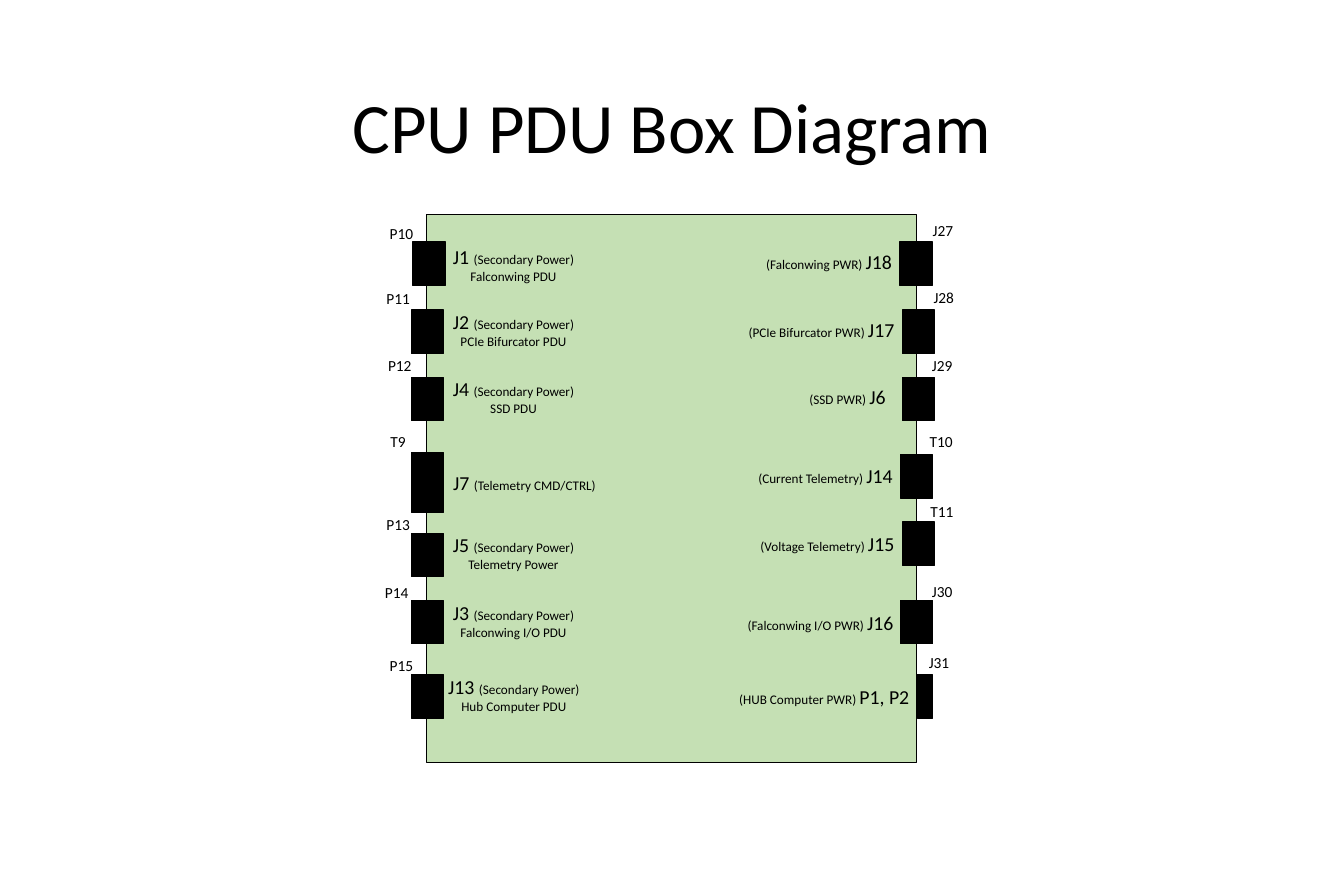
"""Build the CPU PDU box diagram slide."""
from pptx import Presentation
from pptx.dml.color import RGBColor
from pptx.enum.shapes import MSO_SHAPE
from pptx.enum.text import MSO_ANCHOR, MSO_AUTO_SIZE, PP_ALIGN
from pptx.util import Pt

TITLE = "CPU PDU Box Diagram"
COLORS = {"ink": "000000", "box": "C5E0B4"}
PX = 9144
SLIDE_SIZE = (1700, 1100)
TITLE_AREA = (117, 59, 1466, 213)
PDU_BOX = (540, 271, 619, 693)
PLUG_WIDTH, PLUG_HEIGHT = 41, 55
LABEL_LINE, LABEL_PAIR, TAG_HEIGHT = 40, 61, 34

# Each plug: (left, top, width, height)
# Each label: (left, top, width); each tag: (left, top, width)
LEFT_PORTS = [
    ("J1", ["(Secondary Power)", "Falconwing PDU"], (522, 306, 41, 55), (562, 304, 175), "P10", (483, 278, 50)),
    ("J2", ["(Secondary Power)", "PCIe Bifurcator PDU"], (520, 392, 41, 55), (562, 387, 175), "P11", (479, 361, 50)),
    ("J4", ["(Secondary Power)", "SSD PDU"], (520, 477, 41, 55), (562, 471, 175), "P12", (481, 446, 50)),
    ("J7", ["(Telemetry CMD/CTRL)"], (520, 572, 41, 76), (562, 590, 203), "T9", (484, 541, 40)),
    ("J5", ["(Secondary Power)", "Telemetry Power"], (520, 674, 41, 55), (562, 669, 175), "P13", (479, 646, 50)),
    ("J3", ["(Secondary Power)", "Falconwing I/O PDU"], (520, 759, 41, 55), (562, 754, 175), "P14", (477, 732, 50)),
    ("J13", ["(Secondary Power)", "Hub Computer PDU"], (520, 853, 41, 55), (556, 848, 188), "P15", (483, 825, 50)),
]
RIGHT_PORTS = [
    ("J18", "(Falconwing PWR)", (1138, 306, 41, 55), (951, 311, 187), "J27", (1170, 275, 46)),
    ("J17", "(PCIe Bifurcator PWR)", (1141, 392, 41, 55), (929, 397, 212), "J28", (1171, 360, 46)),
    ("J6", "(SSD PWR)", (1141, 477, 41, 55), (1007, 482, 123), "J29", (1169, 446, 46)),
    ("J14", "(Current Telemetry)", (1139, 575, 41, 55), (942, 582, 197), "T10", (1166, 541, 50)),
    ("J15", "(Voltage Telemetry)", (1141, 660, 41, 55), (944, 668, 197), "T11", (1167, 630, 50)),
    ("J16", "(Falconwing I/O PWR)", (1139, 759, 41, 55), (927, 767, 213), "J30", (1169, 731, 46)),
    ("P1, P2", "(HUB Computer PWR)", (1160, 853, 19, 55), (917, 861, 243), "J31", (1165, 821, 46)),
]
TAG_FORMAT = {"word_wrap": False, "auto_size": MSO_AUTO_SIZE.SHAPE_TO_FIT_TEXT}
RIGHT_FORMAT = TAG_FORMAT | {"word_wrap": True}
TITLE_FORMAT = {"word_wrap": True, "vertical_anchor": MSO_ANCHOR.MIDDLE}


def emu(area):
    return [length * PX for length in area]


def add_block(slide, area, color):
    block = slide.shapes.add_shape(MSO_SHAPE.RECTANGLE, *emu(area))
    block.shadow.inherit = False
    block.fill.solid()
    block.fill.fore_color.rgb = RGBColor.from_string(COLORS[color])
    block.line.color.rgb = RGBColor.from_string(COLORS["ink"])
    block.line.width = Pt(1)


def add_text(slide, area, lines, align, frame_format, spacing=None):
    frame = slide.shapes.add_textbox(*emu(area)).text_frame
    for key, value in frame_format.items():
        setattr(frame, key, value)
    for number, pieces in enumerate(lines):
        paragraph = frame.add_paragraph() if number else frame.paragraphs[0]
        paragraph.alignment = align
        paragraph.line_spacing = spacing
        for words, size in pieces:
            run = paragraph.add_run()
            run.text = words
            font_format = {"name": "Calibri", "size": Pt(size)}
            for key, value in font_format.items():
                setattr(run.font, key, value)
            run.font.color.rgb = RGBColor.from_string(COLORS["ink"])


def add_tag(slide, tag, place):
    add_text(slide, (*place, TAG_HEIGHT), [[(tag, 14)]], PP_ALIGN.LEFT, TAG_FORMAT)


def main():
    deck = Presentation()
    deck.slide_width, deck.slide_height = emu(SLIDE_SIZE)
    slide = deck.slides.add_slide(deck.slide_layouts[6])
    add_text(slide, TITLE_AREA, [[(TITLE, 64.5)]], PP_ALIGN.CENTER, TITLE_FORMAT, 0.9)
    add_block(slide, PDU_BOX, "box")

    for port, (purpose, *targets), plug, place, tag, tag_place in LEFT_PORTS:
        add_block(slide, plug, "ink")
        lines = [[(f"{port} ", 18), (purpose, 12)]] + [[(target, 12)] for target in targets]
        height = LABEL_PAIR if targets else LABEL_LINE
        add_text(slide, (*place, height), lines, PP_ALIGN.CENTER, TAG_FORMAT)
        add_tag(slide, tag, tag_place)

    for port, purpose, plug, place, tag, tag_place in RIGHT_PORTS:
        add_block(slide, plug, "ink")
        line = [(f"{purpose} ", 12), (port, 18)]
        add_text(slide, (*place, LABEL_LINE), [line], PP_ALIGN.RIGHT, RIGHT_FORMAT)
        add_tag(slide, tag, tag_place)

    deck.save("out.pptx")


if __name__ == "__main__":
    main()
